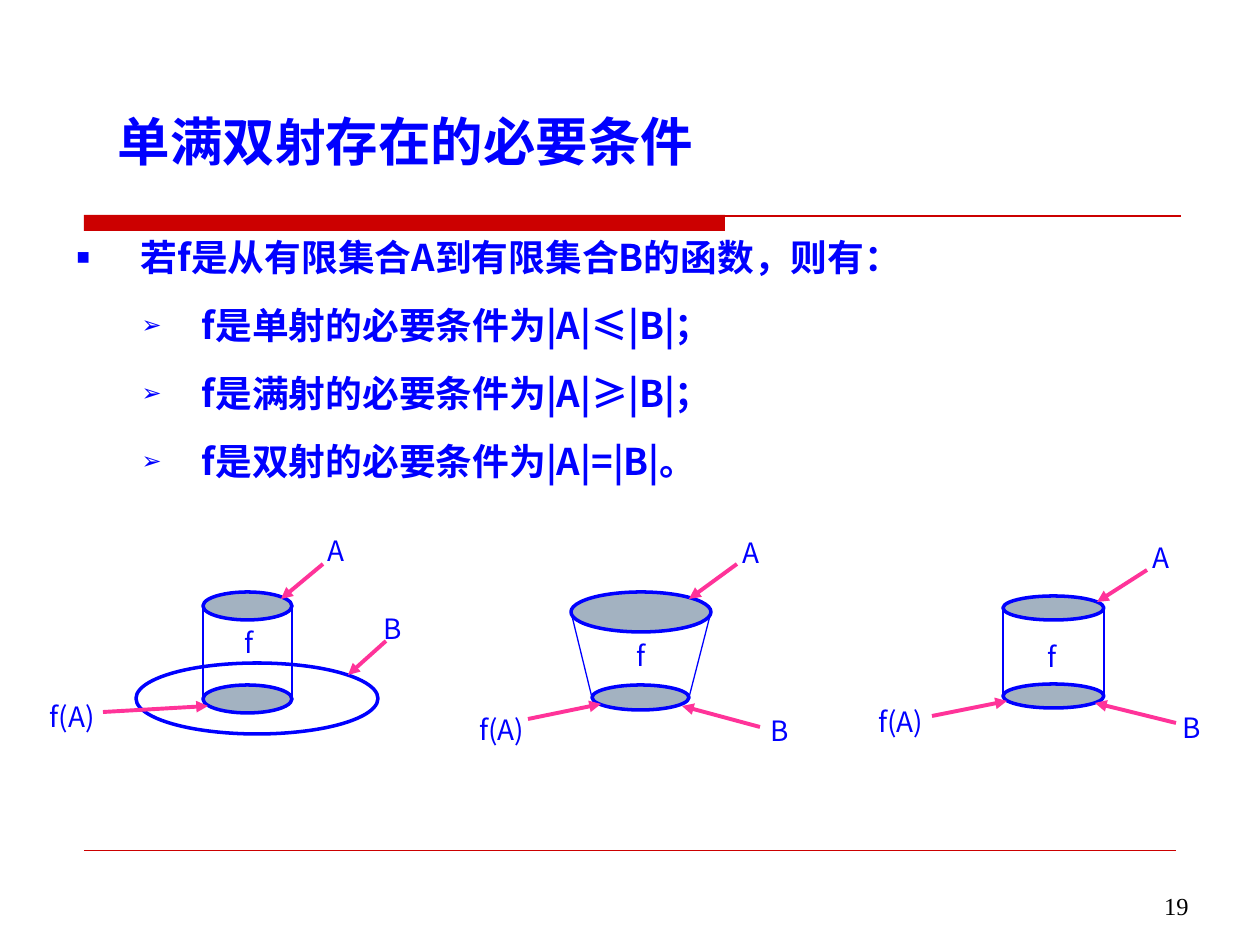
from lxml import etree
from pptx import Presentation, util as u
from pptx.dml.color import RGBColor
from pptx.enum import shapes, text
from pptx.oxml import ns

SCALE = u.Inches(10) / 1260  # EMU per px
THEME = {
    "font": "Noto Sans CJK SC", "number_font": "Times New Roman",
    "blue": RGBColor.from_string("0000FF"), "red": RGBColor.from_string("CC0000"),
    "pink": RGBColor.from_string("FF3399"), "grey": RGBColor.from_string("A3B2C1"),
    "black": RGBColor.from_string("000000"),
    "title": 30, "title_small": 29, "body": 21, "label": 16, "number": 14,
}


def write(paragraph, words, size, color="blue", font="font", bold=False):
    run = paragraph.add_run()
    run.text = words
    formats = {"size": u.Pt(THEME[size]), "bold": bold, "name": THEME[font]}
    for name, value in formats.items():
        setattr(run.font, name, value)
    run.font.color.rgb = THEME[color]
    etree.SubElement(run.font._element, ns.qn("a:ea"), typeface=THEME[font])


def draw_line(ends, color, width, arrow=False):
    line = slide.shapes.add_connector(
        shapes.MSO_CONNECTOR.STRAIGHT, *[round(v * SCALE) for v in ends])
    line.line.color.rgb = THEME[color]
    line.line.width = u.Pt(width)
    if arrow:
        etree.SubElement(line.line._get_or_add_ln(), ns.qn("a:tailEnd"), type="triangle")
    etree.SubElement(line._element.spPr, ns.qn("a:effectLst"))


deck = Presentation()
deck.slide_width, deck.slide_height = u.Inches(10), u.Inches(7.5)
slide = deck.slides.add_slide(deck.slide_layouts[1])
title, body = slide.placeholders

# Red rule under the title and thin rule at the foot
bar = slide.shapes.add_shape(
    shapes.MSO_SHAPE.RECTANGLE, *[round(v * SCALE) for v in (84, 215, 641, 16)])
bar.shadow.inherit = False
bar.fill.solid()
bar.fill.fore_color.rgb = THEME["red"]
bar.line.fill.background()
draw_line((84, 216, 1181, 216), "red", 0.75)
draw_line((84, 850, 1176, 850), "red", 0.25)

# Placeholders
for holder, box, anchor in (
        (title, (105, 96, 1071, 89), text.MSO_ANCHOR.MIDDLE),
        (body, (64, 224, 1131, 338), text.MSO_ANCHOR.TOP)):
    for side, value in zip(("left", "top", "width", "height"), box):
        setattr(holder, side, round(value * SCALE))
    holder.text_frame.auto_size = text.MSO_AUTO_SIZE.NONE
    holder.text_frame.vertical_anchor = anchor

# Title
heading = title.text_frame.paragraphs[0]
heading.alignment = text.PP_ALIGN.LEFT
for words, size in (("单满双", "title"), ("射", "title_small"), ("存在的必要条件", "title")):
    write(heading, words, size, bold=True)

# Conditions: level, bullet, bullet size in %, text margin and hanging indent in px
LEAD = (0, "■", 60, 64, 64)
CONDITION = (1, "➢", 65, 125, 60)
statements = [
    (LEAD, "若f是从有限集合A到有限集合B的函数，则有："),
    (CONDITION, "f是单射的必要条件为|A|≤|B|；"),
    (CONDITION, "f是满射的必要条件为|A|≥|B|；"),
    (CONDITION, "f是双射的必要条件为|A|=|B|。"),
]
for i, ((level, bullet, percent, margin, hang), words) in enumerate(statements):
    item = body.text_frame.add_paragraph() if i else body.text_frame.paragraphs[0]
    props = item._p.get_or_add_pPr()
    props.set("marL", str(round(margin * SCALE)))
    props.set("indent", str(round(-hang * SCALE)))
    bullet_color = etree.SubElement(props, ns.qn("a:buClr"))
    etree.SubElement(bullet_color, ns.qn("a:srgbClr"), val=str(THEME["blue"]))
    etree.SubElement(props, ns.qn("a:buSzPct"), val=str(percent * 1000))
    etree.SubElement(props, ns.qn("a:buChar"), char=bullet)
    formats = {"level": level, "line_spacing": 1.1,
               "space_before": u.Pt(5.2 if i else 0), "space_after": u.Pt(6)}
    for name, value in formats.items():
        setattr(item, name, value)
    write(item, words, "body", bold=True)

# Mappings: an injection, a surjection and a bijection
mappings = [
    {"domain": (203, 592, 89, 28), "codomain": (136, 663, 242, 71),
     "image": (203, 685, 89, 28),
     "labels": [("f(A)", (34, 703, 77, 30)), ("A", (289, 542, 93, 21)),
                ("B", (348, 620, 89, 21)), ("f", (218, 635, 63, 19))],
     "arrows": [(323, 564, 281, 599), (103, 712, 208, 706), (386, 641, 348, 675)]},
    {"domain": (571, 592, 140, 40), "image": (592, 685, 97, 25),
     "labels": [("f(A)", (462, 717, 79, 28)), ("A", (698, 544, 106, 21)),
                ("B", (755, 722, 49, 21)), ("f", (614, 648, 55, 19))],
     "arrows": [(737, 564, 689, 599), (528, 719, 601, 704), (760, 727, 682, 706)]},
    {"domain": (1003, 596, 101, 24), "image": (1003, 684, 101, 24),
     "labels": [("f(A)", (853, 704, 95, 39)), ("A", (1106, 549, 110, 20)),
                ("B", (1162, 717, 59, 25)), ("f", (1024, 649, 57, 18))],
     "arrows": [(1147, 570, 1097, 602), (932, 716, 1007, 701), (1176, 723, 1095, 703)]},
]
captions = [("19", (1137, 885, 79, 47), "number", "black", "number_font")]
for mapping in mappings:
    # Sets
    for part in ("domain", "codomain", "image"):
        if part not in mapping:
            continue
        oval = slide.shapes.add_shape(
            shapes.MSO_SHAPE.OVAL, *[round(v * SCALE) for v in mapping[part]])
        oval.shadow.inherit = False
        if part == "codomain":
            oval.fill.background()
        else:
            oval.fill.solid()
            oval.fill.fore_color.rgb = THEME["grey"]
        oval.line.color.rgb = THEME["blue"]
        oval.line.width = u.Pt(2)
    # Sides joining the domain to its image
    (x1, y1, w1, h1), (x2, y2, w2, h2) = mapping["domain"], mapping["image"]
    for edge in (0, 1):
        draw_line((x1 + edge * w1, y1 + h1 / 2, x2 + edge * w2, y2 + h2 / 2), "blue", 0.75)
    for arrow in mapping["arrows"]:
        draw_line(arrow, "pink", 2.25, arrow=True)
    captions += [(words, box, "label", "blue", "font") for words, box in mapping["labels"]]

# Set labels and slide number
for words, box, size, color, font in captions:
    caption = slide.shapes.add_textbox(*[round(v * SCALE) for v in box]).text_frame
    caption.word_wrap = True
    line = caption.paragraphs[0]
    line.alignment = text.PP_ALIGN.CENTER
    if size == "label":
        caption.vertical_anchor = text.MSO_ANCHOR.MIDDLE
        line.line_spacing = 0.9
    write(line, words, size, color, font)

deck.save("out.pptx")
